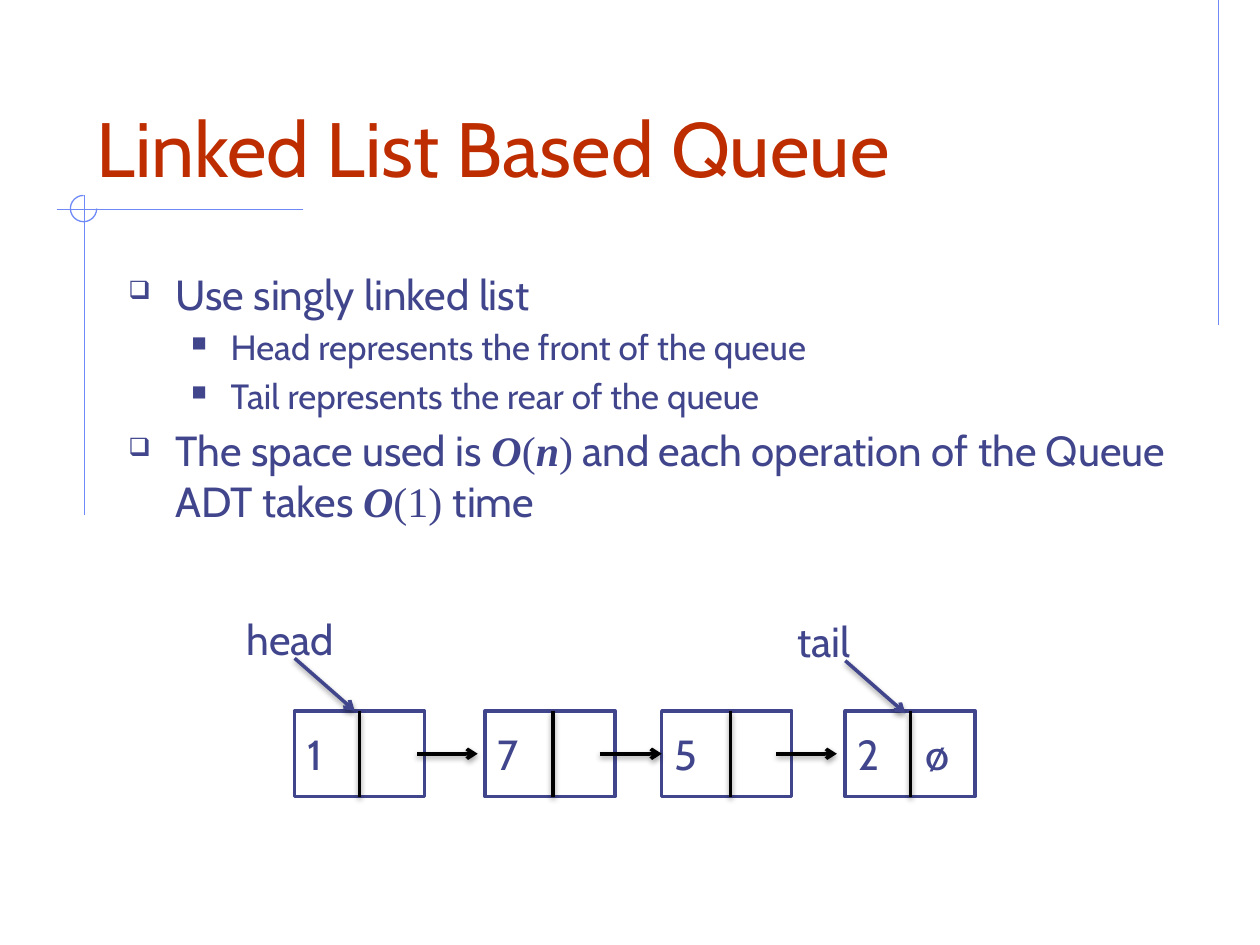
from dataclasses import dataclass
from typing import Optional

from lxml import etree
from pptx import Presentation, util as u
from pptx.dml.color import RGBColor
from pptx.enum import shapes as sh, text as tx
from pptx.oxml import parse_xml
from pptx.oxml.ns import nsdecls, qn

Cm, Pt = u.Cm, u.Pt
NAVY = RGBColor(0x40, 0x45, 0x8C)
RED = RGBColor(0xBE, 0x2D, 0x00)
BLUE = RGBColor(0x6F, 0x89, 0xF7)
BLACK = RGBColor(0, 0, 0)
WHITE = RGBColor(255, 255, 255)
SANS, SERIF = "Cabin", "Times New Roman"

TOP, WIDE, HIGH = 14.33, 2.62, 1.73  # node box, in cm
MID = TOP + HIGH / 2
REACH = 1.22  # length of a link arrow
NEAR = 0.05  # ends closer than this are joined

SHADOW = (
    f'<a:effectLst {nsdecls("a")}><a:outerShdw blurRad="40000" dist="20000" dir="5400000" '
    'rotWithShape="0"><a:srgbClr val="000000"><a:alpha val="38000"/></a:srgbClr>'
    "</a:outerShdw></a:effectLst>"
)
PLAIN = f'<a:effectLst {nsdecls("a")}/>'


@dataclass
class Node:
    text: str
    left: float
    split: float
    link: Optional[float] = None  # where the link arrow starts


@dataclass
class Label:
    text: str
    left: float
    top: float


@dataclass
class Item:
    level: int
    bits: list  # (text, is serif, is bold italic)


NODES = [
    Node("1", 5.94, 7.26, 8.41),
    Node("7", 9.78, 11.15, 12.09),
    Node("5", 13.34, 14.73, 15.65),
    Node("2\tø", 17.04, 18.31),
]
LABELS = [Label("head", 4.72, 12.24), Label("tail", 15.82, 12.29)]
ITEMS = [
    Item(0, [("Use singly linked list", False, False)]),
    Item(1, [("Head represents the front of the queue", False, False)]),
    Item(1, [("Tail represents the rear of the queue", False, False)]),
    Item(0, [
        ("The space used is ", False, False),
        ("O", True, True), ("(", True, False), ("n", True, True), (")", True, False),
        (" and each operation of the Queue ADT takes ", False, False),
        ("O", True, True), ("(1) ", True, False), ("time", False, False),
    ]),
]
# Per level: text size, left margin, hanging indent (cm), bullet
LEVELS = [(24, 0.95, 0.95, "❑"), (20, 2.06, 0.79, "■")]


def style(run, size: float, color: RGBColor, font: str = SANS) -> None:
    run.font.size = Pt(size)
    run.font.name = font
    run.font.color.rgb = color


def line(slide, x1: float, y1: float, x2: float, y2: float, color: RGBColor,
         width: float = 2, arrow: bool = False, shadow: bool = True):
    con = slide.shapes.add_connector(
        sh.MSO_CONNECTOR.STRAIGHT, Cm(x1), Cm(y1), Cm(x2), Cm(y2))
    con.line.color.rgb = color
    con.line.width = Pt(width)
    props = con._element.spPr
    if arrow:
        etree.SubElement(props.find(qn("a:ln")), qn("a:tailEnd"), type="arrow")
    props.append(parse_xml(SHADOW if shadow else PLAIN))
    return con


def words(slide, text: str, box: tuple, size: float, color: RGBColor):
    frame = slide.shapes.add_textbox(*map(Cm, box)).text_frame
    frame.word_wrap = True
    frame.text = text
    for run in frame.paragraphs[0].runs:
        style(run, size, color)
    return frame


def frame_art(slide) -> None:
    for ends in ((24.56, 0, 24.56, 6.55), (6.1, 4.22, 1.14, 4.22),
                 (1.7, 3.94, 1.7, 10.39)):
        line(slide, *ends, BLUE, 0.75, shadow=False)
    arc = slide.shapes.add_shape(
        sh.MSO_SHAPE.ARC, Cm(1.42), Cm(3.94), Cm(0.53), Cm(0.53))
    arc.adjustments[0] = 0
    arc.adjustments[1] = 162  # 270 degrees
    arc.shadow.inherit = False
    arc.fill.background()
    arc.line.color.rgb = BLUE
    arc.line.width = Pt(0.75)


def bullets(slide) -> None:
    frame = slide.shapes.add_textbox(
        Cm(2.34), Cm(5.28), Cm(21.59), Cm(11.43)).text_frame
    frame.word_wrap = True
    for i, item in enumerate(ITEMS):
        para = frame.add_paragraph() if i else frame.paragraphs[0]
        size, left, hang, mark = LEVELS[item.level]
        para.level = item.level
        para.space_before = Pt(size * 0.2)
        props = para._p.get_or_add_pPr()
        props.set("marL", str(Cm(left)))
        props.set("indent", str(-Cm(hang)))
        tint = etree.SubElement(props, qn("a:buClr"))
        etree.SubElement(tint, qn("a:srgbClr"), val=str(NAVY))
        etree.SubElement(props, qn("a:buSzPct"), val="60000")
        etree.SubElement(props, qn("a:buChar"), char=mark)
        for text, serif, strong in item.bits:
            run = para.add_run()
            run.text = text
            style(run, size, NAVY, SERIF if serif else SANS)
            run.font.bold = run.font.italic = strong


def box(slide, node: Node):
    rect = slide.shapes.add_shape(
        sh.MSO_SHAPE.RECTANGLE, Cm(node.left), Cm(TOP), Cm(WIDE), Cm(HIGH))
    rect.shadow.inherit = False
    rect.fill.solid()
    rect.fill.fore_color.rgb = WHITE
    rect.line.color.rgb = NAVY
    rect.line.width = Pt(2)
    frame = rect.text_frame
    frame.vertical_anchor = tx.MSO_ANCHOR.MIDDLE
    frame.text = node.text
    para = frame.paragraphs[0]
    para.alignment = tx.PP_ALIGN.LEFT
    if "\t" in node.text:
        tabs = etree.SubElement(para._p.get_or_add_pPr(), qn("a:tabLst"))
        etree.SubElement(tabs, qn("a:tab"), pos=str(Cm(1.37)), algn="l")
    for run in para.runs:
        style(run, 24, NAVY)
    return rect


def chain(slide) -> None:
    rects = [box(slide, node) for node in NODES]
    # Links to the next node
    for node, goal, rect in zip(NODES, NODES[1:], rects[1:]):
        end = node.link + REACH
        con = line(slide, node.link, MID, end, MID, BLACK, arrow=True)
        if abs(end - goal.left) < NEAR:
            con.end_connect(rect, 1)
    # Dividers between value and link
    for node, rect in zip(NODES, rects):
        con = line(slide, node.split, TOP, node.split, TOP + HIGH, BLACK)
        if abs(node.split - node.left - WIDE / 2) < NEAR:
            con.begin_connect(rect, 0)
            con.end_connect(rect, 2)
    # Head and tail pointers
    for tag in LABELS:
        words(slide, tag.text, (tag.left, tag.top, 2.41, 1.02), 24, NAVY)
        x, y = tag.left + REACH, tag.top + 1.03
        line(slide, x, y, x + 1.21, y + 1.06, NAVY, arrow=True)


def main() -> None:
    deck = Presentation()
    deck.slide_width, deck.slide_height = Cm(25.4), Cm(19.05)
    slide = deck.slides.add_slide(deck.slide_layouts[6])
    frame_art(slide)
    title = words(slide, "Linked List Based Queue", (1.7, 0.84, 21.59, 3.18), 44, RED)
    title.vertical_anchor = tx.MSO_ANCHOR.BOTTOM
    bullets(slide)
    chain(slide)
    deck.save("out.pptx")


if __name__ == "__main__":
    main()
